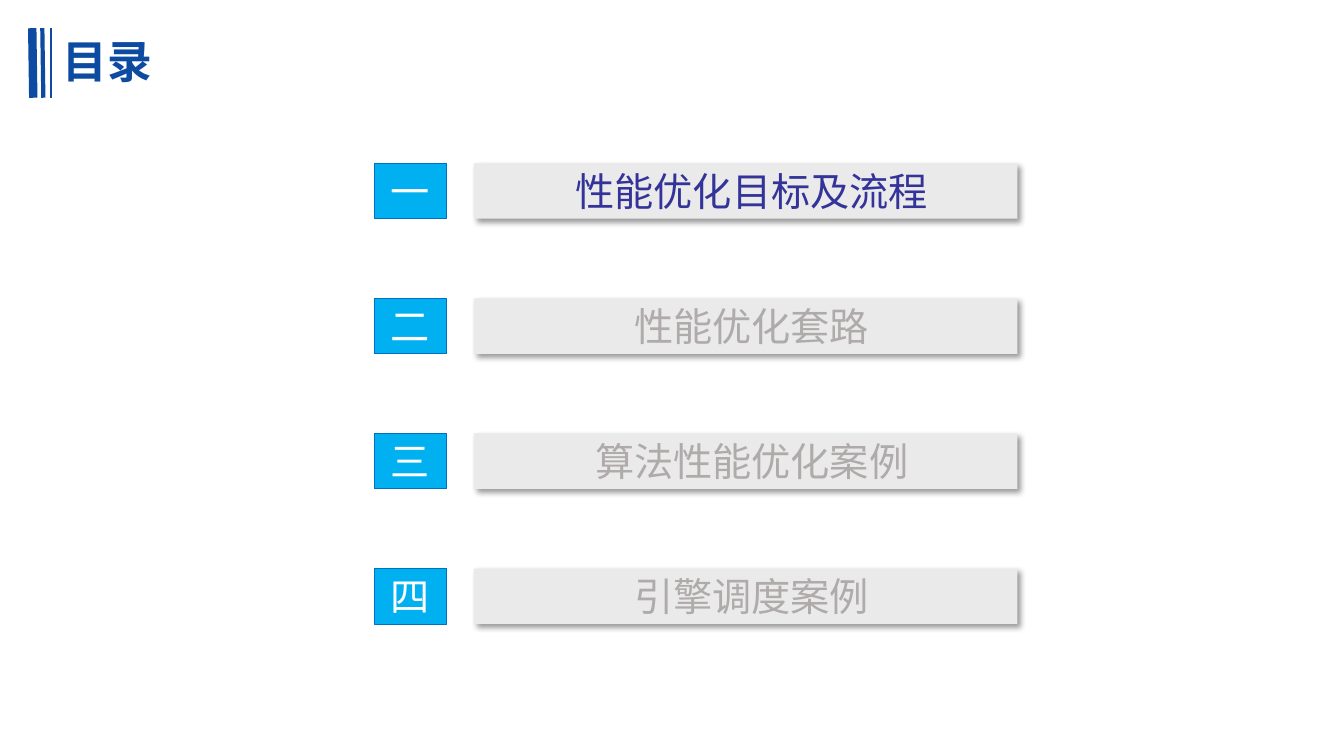
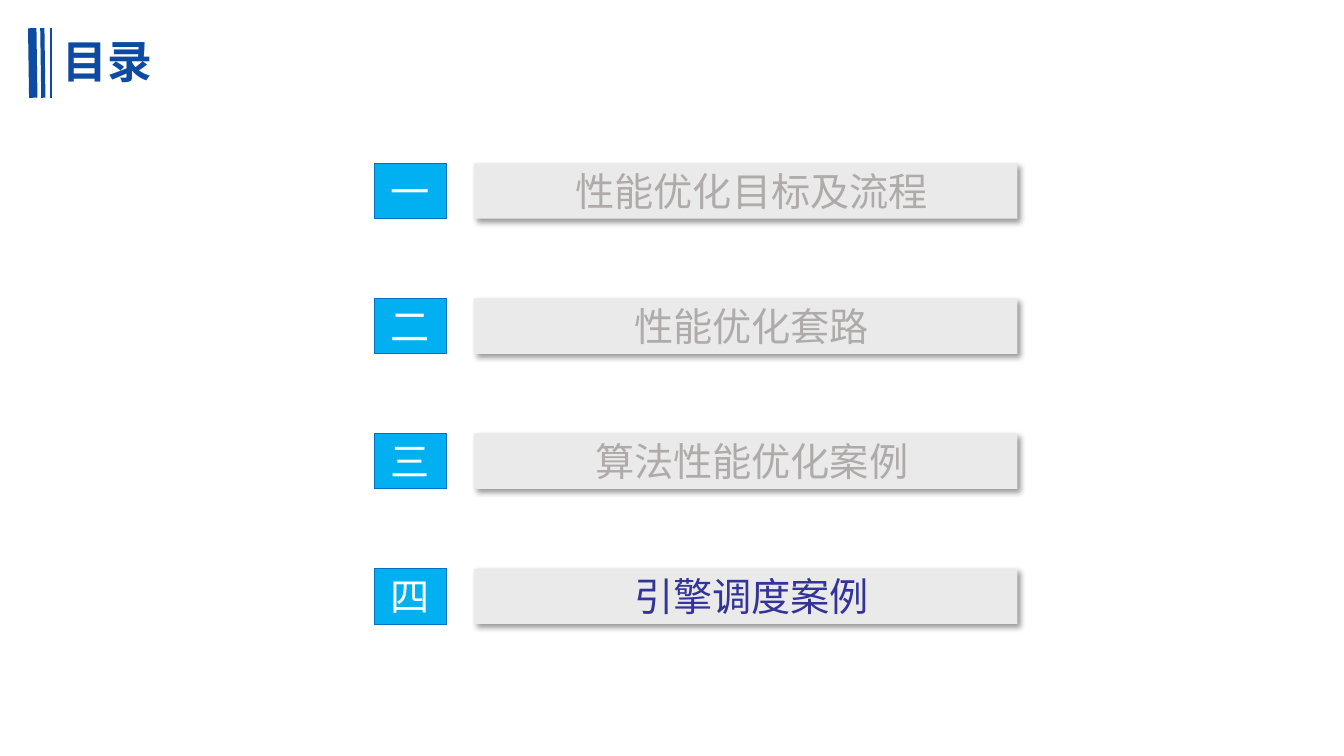
from pptx import Presentation
from pptx.dml.color import RGBColor
from pptx.enum import shapes, text
from pptx.oxml import parse_xml
from pptx.oxml.ns import nsdecls
from pptx.util import Inches, Pt

FONT = "Noto Sans CJK SC"
BLUE, CYAN, CYAN_EDGE, WHITE = "0C4BA1", "00B0F0", "0070C0", "FFFFFF"
BAR, ACTIVE, INACTIVE = "EAEAEA", "333399", "AFABAB"
SHADOW = (
    f'<a:outerShdw {nsdecls("a")} blurRad="{Pt(4)}" dist="{Pt(3)}" dir="2700000" '
    'algn="tl" rotWithShape="0"><a:srgbClr val="000000"><a:alpha val="40000"/>'
    "</a:srgbClr></a:outerShdw>"
)
TOPICS = [
    ("一", "性能优化目标及流程"),
    ("二", "性能优化套路"),
    ("三", "算法性能优化案例"),
    ("四", "引擎调度案例"),
]
TOP, PITCH, HEIGHT = 1.62, 1.34, 0.55


def rgb(value):
    return RGBColor.from_string(value)


def write(shape, words, size, color, align, bold=False):
    tf = shape.text_frame
    tf.text = words
    tf.vertical_anchor = text.MSO_ANCHOR.MIDDLE
    p = tf.paragraphs[0]
    p.alignment = align
    font = p.runs[0].font
    font.size, font.bold, font.name = Pt(size), bold, FONT
    font.color.rgb = rgb(color)
    font._element.append(parse_xml(f'<a:ea {nsdecls("a")} typeface="{FONT}"/>'))


prs = Presentation()
prs.slide_width, prs.slide_height = Inches(13.33), Inches(7.5)
layout = prs.slide_layouts[5]
title = layout.placeholders[0]
title.left, title.top = Inches(0.52), Inches(0.3)
title.width, title.height = Inches(12.42), Inches(0.66)

slides = [(prs.slides.add_slide(layout), active) for active in (0, 3)]

for x1, x2, width in [(0.32, 0.33, 6), (0.42, 0.43, 3), (0.51, 0.51, 1.5)]:
    stripe = slides[0][0].shapes.add_connector(
        shapes.MSO_CONNECTOR.STRAIGHT, Inches(x1), Inches(0.28), Inches(x2), Inches(0.97)
    )
    stripe.line.color.rgb = rgb(BLUE)
    stripe.line.width = Pt(width)
    stripe._element.spPr.append(parse_xml(f'<a:effectLst {nsdecls("a")}/>'))
    layout.shapes._spTree.append(stripe._element)

for s, active in slides:
    title = s.shapes.title
    write(title, "目录", 32, BLUE, text.PP_ALIGN.LEFT, bold=True)
    title.text_frame.auto_size = text.MSO_AUTO_SIZE.NONE
    title.text_frame.paragraphs[0].line_spacing = 0.9

    for i, (number, topic) in enumerate(TOPICS):
        y = Inches(TOP + i * PITCH)
        box = s.shapes.add_shape(
            shapes.MSO_SHAPE.RECTANGLE, Inches(3.71), y, Inches(0.72), Inches(HEIGHT)
        )
        bar = s.shapes.add_shape(
            shapes.MSO_SHAPE.RECTANGLE, Inches(4.7), y, Inches(5.39), Inches(HEIGHT)
        )
        for sp, fill in [(box, CYAN), (bar, BAR)]:
            sp.fill.solid()
            sp.fill.fore_color.rgb = rgb(fill)
            sp.shadow.inherit = False

        box.line.color.rgb = rgb(CYAN_EDGE)
        box.line.width = Pt(0.5)
        write(box, number, 28, WHITE, text.PP_ALIGN.CENTER)
        tf = box.text_frame
        tf.margin_left = tf.margin_right = tf.margin_top = tf.margin_bottom = 0
        tf.word_wrap = False

        bar.line.fill.background()
        bar._element.spPr.find("{*}effectLst").append(parse_xml(SHADOW))
        write(bar, topic, 28, ACTIVE if i == active else INACTIVE, text.PP_ALIGN.CENTER)
        tf = bar.text_frame
        tf.margin_left, tf.margin_right = Inches(0.2), Inches(0.08)
        tf.margin_top = tf.margin_bottom = Inches(0.05)
        tf.word_wrap = True

prs.save("out.pptx")
